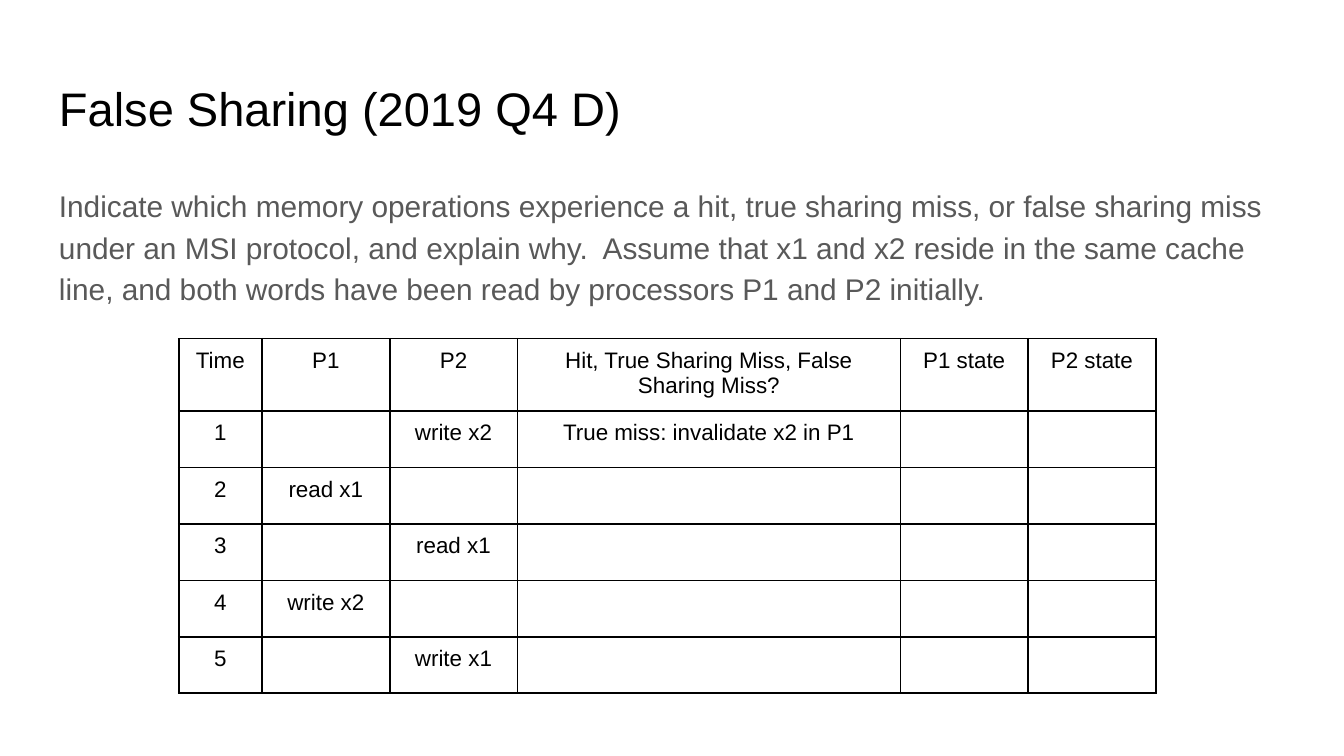
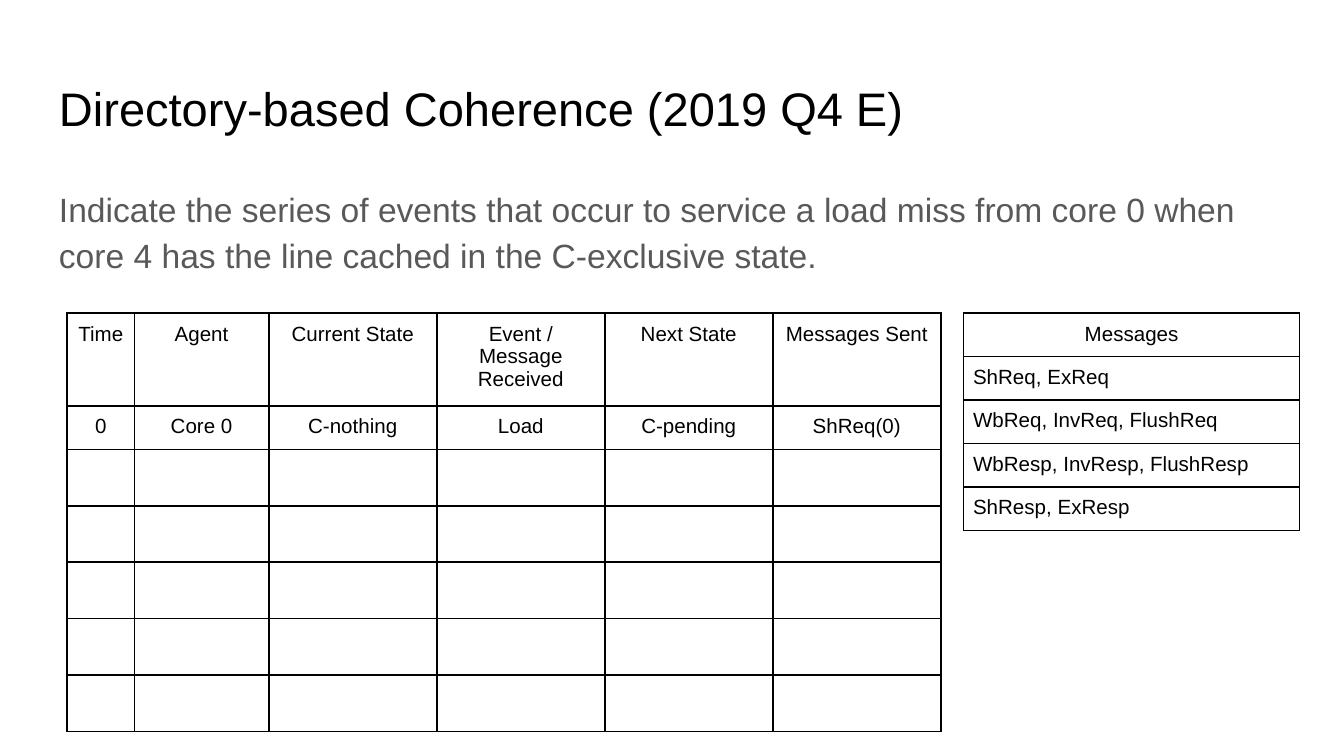
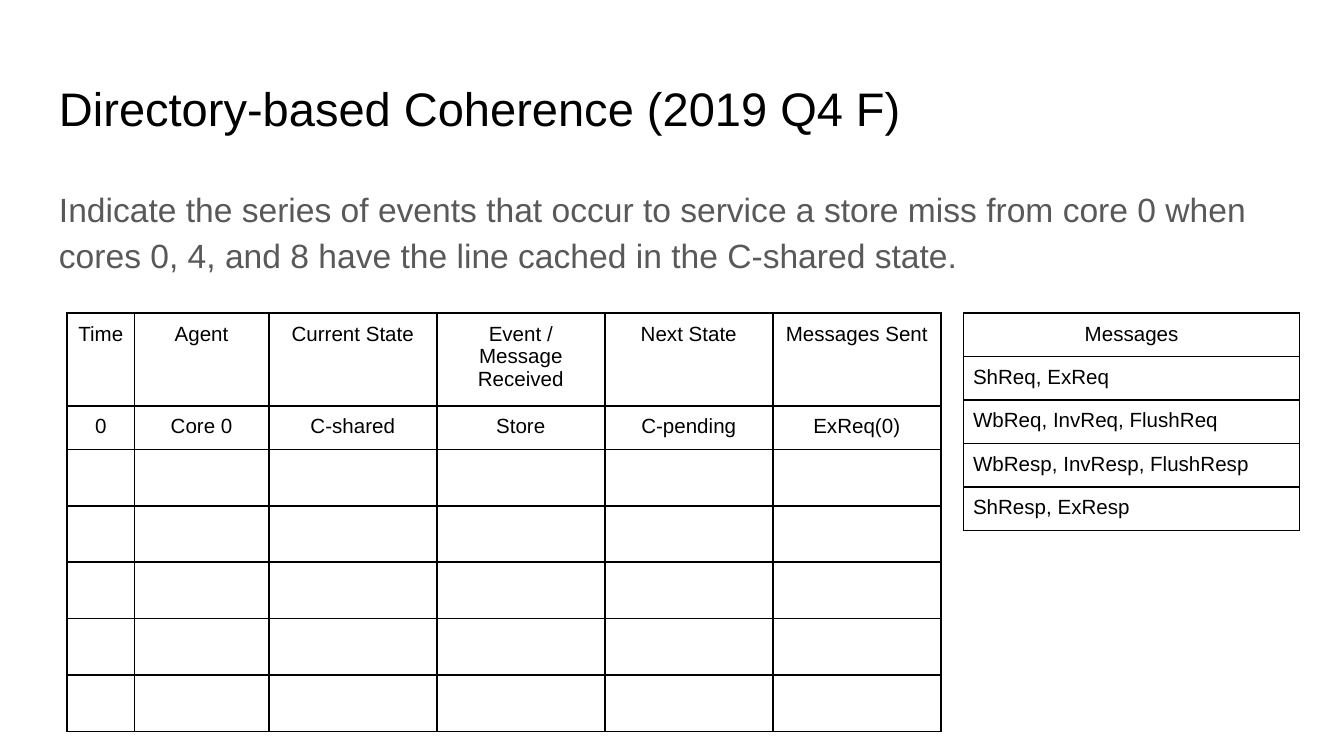
from dataclasses import dataclass

from lxml import etree
from pptx import Presentation
from pptx.dml.color import RGBColor
from pptx.enum.text import MSO_ANCHOR, PP_ALIGN
from pptx.oxml.ns import qn
from pptx.util import Inches, Pt

TOP = MSO_ANCHOR.TOP
LEFT, MID = PP_ALIGN.LEFT, PP_ALIGN.CENTER
FONT = "Arial"
HUES = {"ink": "000000", "body": "595959", "paper": "FFFFFF"}
SIDES = ("left", "top", "right", "bottom")
BODY = {"line_spacing": 1.15, "space_after": Pt(12)}
TALL, FIT = 0.42, 0.01  # heights of blank rows and of rows that grow to their text
FRAME = {"width": Inches(3.28), "height": Inches(3.28)}


@dataclass
class Grid:
    left: float
    top: float
    cols: list[float]
    rows: list[float]
    cells: list[list[str]]
    size: float
    align: PP_ALIGN = MID  # below the header row
    merge: tuple[int, int] | None = None  # columns joined in every row


@dataclass
class Page:
    title: str
    text: str
    size: float
    grids: list[Grid]


# Shared drawing
def apply(item, form: dict) -> None:
    for key, value in form.items():
        setattr(item, key, value)


def write(para, text: str, size: float, hue: str) -> None:
    run = para.add_run()
    run.text = text
    apply(run.font, {"name": FONT, "size": Pt(size)})
    run.font.color.rgb = RGBColor.from_string(HUES[hue])


def add_text(slide, top: float, high: float, text: str, size: float,
             hue: str, form: dict) -> None:
    box = slide.shapes.add_textbox(Inches(0.34), Inches(top), Inches(9.32), Inches(high))
    frame = box.text_frame
    apply(frame, {"word_wrap": True, "vertical_anchor": TOP})
    apply(frame, {f"margin_{side}": Inches(0.1) for side in SIDES})
    para = frame.paragraphs[0]
    apply(para, form)
    write(para, text, size, hue)


def add_edges(cell) -> None:
    props = cell._tc.get_or_add_tcPr()
    for spot, side in enumerate("LRTB"):
        line = etree.Element(qn(f"a:ln{side}"), w=str(Pt(1)))
        fill = etree.SubElement(line, qn("a:solidFill"))
        etree.SubElement(fill, qn("a:srgbClr"), val=HUES["ink"])
        props.insert(spot, line)


def add_grid(slide, grid: Grid) -> None:
    frame = slide.shapes.add_table(
        len(grid.rows), len(grid.cols), Inches(grid.left), Inches(grid.top),
        Inches(sum(grid.cols)), Inches(sum(grid.rows)))
    table = frame.table
    apply(table, {"first_row": False, "horz_banding": False})
    for col, wide in zip(table.columns, grid.cols):
        col.width = Inches(wide)
    for r, high in enumerate(grid.rows):
        table.rows[r].height = Inches(high)
        for c in range(len(grid.cols)):
            cell = table.cell(r, c)
            cell.fill.background()
            add_edges(cell)
            apply(cell, {f"margin_{side}": Inches(0.07) for side in SIDES})
            para = cell.text_frame.paragraphs[0]
            para.alignment = grid.align if r else MID
            text = grid.cells[r][c] if r < len(grid.cells) else ""
            if text:
                write(para, text, grid.size, "ink")
            else:  # keeps blank rows from growing
                etree.SubElement(para._p, qn("a:endParaRPr"), sz=str(int(grid.size * 100)))
        if grid.merge:
            first, last = grid.merge
            table.cell(r, first).merge(table.cell(r, last))
    apply(frame, FRAME)


# Tables
def share_grid() -> Grid:
    head = ["Time", "P1", "P2", "Hit, True Sharing Miss, False Sharing Miss?",
            "", "", "P1 state", "P2 state"]
    steps = [("", "write x2"), ("read x1", ""), ("", "read x1"),
             ("write x2", ""), ("", "write x1")]
    cells = [head] + [[str(n), *step] + [""] * 5 for n, step in enumerate(steps, 1)]
    cells[1][3] = "True miss: invalidate x2 in P1"
    return Grid(1.33, 2.52, [0.62] + [0.95] * 7, [FIT] + [TALL] * 5,
                cells, 12, merge=(3, 5))


def event_grid(state: str, event: str, sent: str) -> Grid:
    head = ["Time", "Agent", "Current State", "Event / Message Received",
            "Next State", "Messages Sent"]
    first = ["0", "Core 0", state, event, "C-pending", sent]
    return Grid(0.5, 2.33, [0.5, 1] + [1.25] * 4, [FIT] * 2 + [TALL] * 5,
                [head, first], 11)


def message_grid() -> Grid:
    names = ["Messages", "ShReq, ExReq", "WbReq, InvReq, FlushReq",
             "WbResp, InvResp, FlushResp", "ShResp, ExResp"]
    return Grid(7.17, 2.33, [2.5], [FIT] * len(names), [[name] for name in names],
                11, align=LEFT)


# Slides
PAGES = [
    Page("False Sharing (2019 Q4 D)",
         "Indicate which memory operations experience a hit, true sharing miss, "
         "or false sharing miss under an MSI protocol, and explain why.  Assume "
         "that x1 and x2 reside in the same cache line, and both words have been "
         "read by processors P1 and P2 initially.",
         16, [share_grid()]),
    Page("Directory-based Coherence (2019 Q4 E)",
         "Indicate the series of events that occur to service a load miss from "
         "core 0 when core 4 has the line cached in the C-exclusive state.",
         18, [event_grid("C-nothing", "Load", "ShReq(0)"), message_grid()]),
    Page("Directory-based Coherence (2019 Q4 F)",
         "Indicate the series of events that occur to service a store miss from "
         "core 0 when cores 0, 4, and 8 have the line cached in the C-shared state.",
         18, [event_grid("C-shared", "Store", "ExReq(0)"), message_grid()]),
]


def main() -> None:
    deck = Presentation()
    apply(deck, {"slide_width": Inches(10), "slide_height": Inches(10 * 9 / 16)})
    for page in PAGES:
        slide = deck.slides.add_slide(deck.slide_layouts[6])
        back = slide.background.fill
        back.solid()
        back.fore_color.rgb = RGBColor.from_string(HUES["paper"])
        add_text(slide, 0.49, 0.63, page.title, 25.2, "ink", {})
        add_text(slide, 1.26, 3.74, page.text, page.size, "body", BODY)
        for grid in page.grids:
            add_grid(slide, grid)
    deck.save("out.pptx")


if __name__ == "__main__":
    main()
